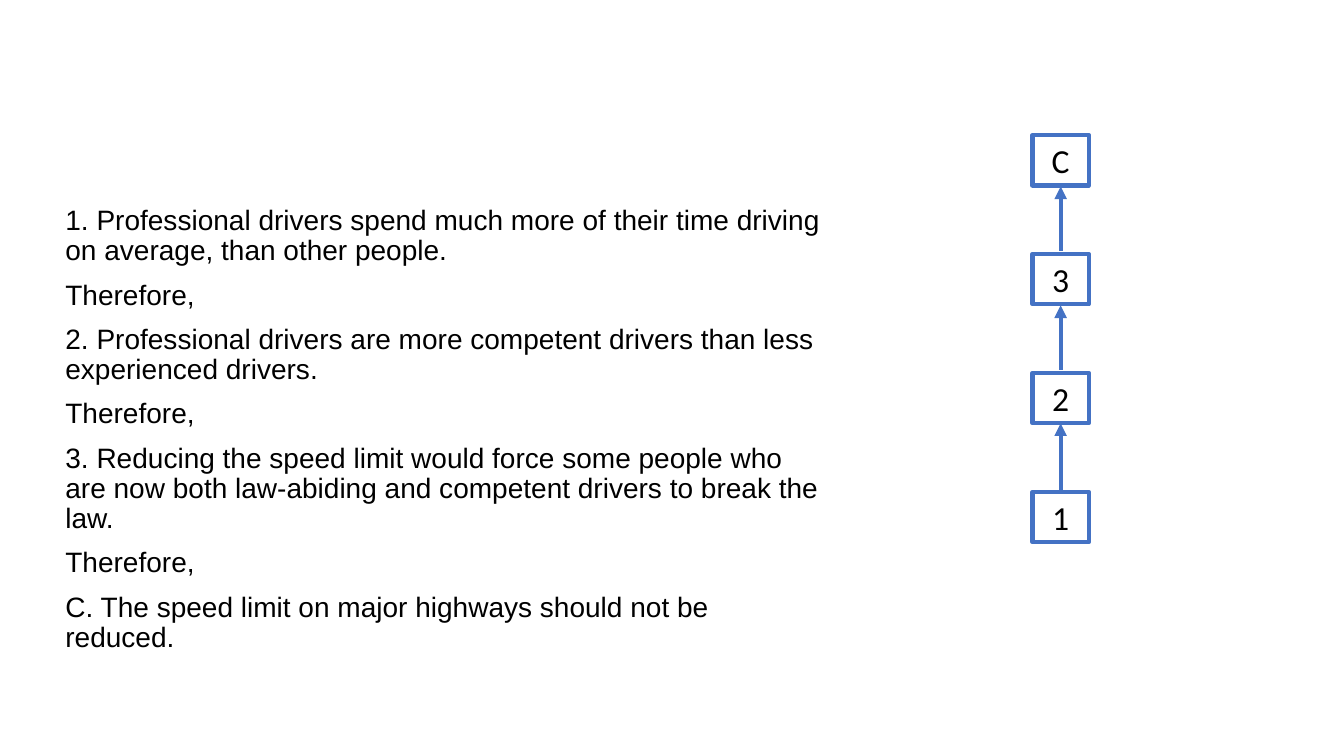
from lxml.etree import SubElement
from pptx import Presentation
from pptx.dml.color import RGBColor
from pptx.enum.shapes import MSO_CONNECTOR, MSO_SHAPE
from pptx.enum.text import MSO_ANCHOR, PP_ALIGN
from pptx.oxml.ns import qn
from pptx.util import Inches, Pt

ARGUMENT = [
    "1. Professional drivers spend much more of their time driving on average, than other people.",
    "Therefore,",
    "2. Professional drivers are more competent drivers than less experienced drivers.",
    "Therefore,",
    "3. Reducing the speed limit would force some people who are now both law-abiding and competent drivers to break the law.",
    "Therefore,",
    "C. The speed limit on major highways should not be reduced.",
]
STEPS = ["1", "2", "3", "C"]
ARROWS = [(4.88, 4.2), (3.67, 3.03), (2.49, 1.85)]
COLORS = {"text": "000000", "box": "FFFFFF", "line": "4472C4"}

BOX_LEFT, BOX_WIDTH, BOX_HEIGHT = 10.24, 0.56, 0.5
FIRST_BOX_TOP, BOX_PITCH = 4.88, 1.18
LINE_WIDTH = 3


def color(name):
    return RGBColor.from_string(COLORS[name])


def write_text(frame, lines, font, size, align=PP_ALIGN.LEFT, spacing=1.0, before=0):
    frame.word_wrap = True
    for index, line in enumerate(lines):
        paragraph = frame.add_paragraph() if index else frame.paragraphs[0]
        paragraph.alignment = align
        paragraph.line_spacing = spacing
        paragraph.space_before = Pt(before)
        run = paragraph.add_run()
        run.text = line
        run.font.name = font
        run.font.size = Pt(size)
        run.font.color.rgb = color("text")


def style_line(line):
    line.color.rgb = color("line")
    line.width = Pt(LINE_WIDTH)


def add_step(slide, label, top):
    shape = slide.shapes.add_shape(
        MSO_SHAPE.RECTANGLE, Inches(BOX_LEFT), Inches(top), Inches(BOX_WIDTH), Inches(BOX_HEIGHT)
    )
    shape.shadow.inherit = False
    shape.fill.solid()
    shape.fill.fore_color.rgb = color("box")
    style_line(shape.line)
    shape.text_frame.vertical_anchor = MSO_ANCHOR.MIDDLE
    write_text(shape.text_frame, [label], font="Calibri", size=24, align=PP_ALIGN.CENTER)


def add_arrow(slide, start, end):
    center = Inches(BOX_LEFT + BOX_WIDTH / 2)
    connector = slide.shapes.add_connector(
        MSO_CONNECTOR.STRAIGHT, center, Inches(start), center, Inches(end)
    )
    style_line(connector.line)
    SubElement(connector.line._get_or_add_ln(), qn("a:tailEnd"), type="triangle")
    SubElement(connector._element.spPr, qn("a:effectLst"))


def main():
    presentation = Presentation()
    presentation.slide_width = Inches(13.33)
    presentation.slide_height = Inches(7.5)
    slide = presentation.slides.add_slide(presentation.slide_layouts[6])

    argument = slide.shapes.add_textbox(Inches(0.55), Inches(2), Inches(7.72), Inches(4.76))
    write_text(argument.text_frame, ARGUMENT, font="Arial", size=20, spacing=0.9, before=10)

    for index, label in enumerate(STEPS):
        add_step(slide, label, FIRST_BOX_TOP - index * BOX_PITCH)
    for start, end in ARROWS:
        add_arrow(slide, start, end)

    presentation.save("out.pptx")


if __name__ == "__main__":
    main()
